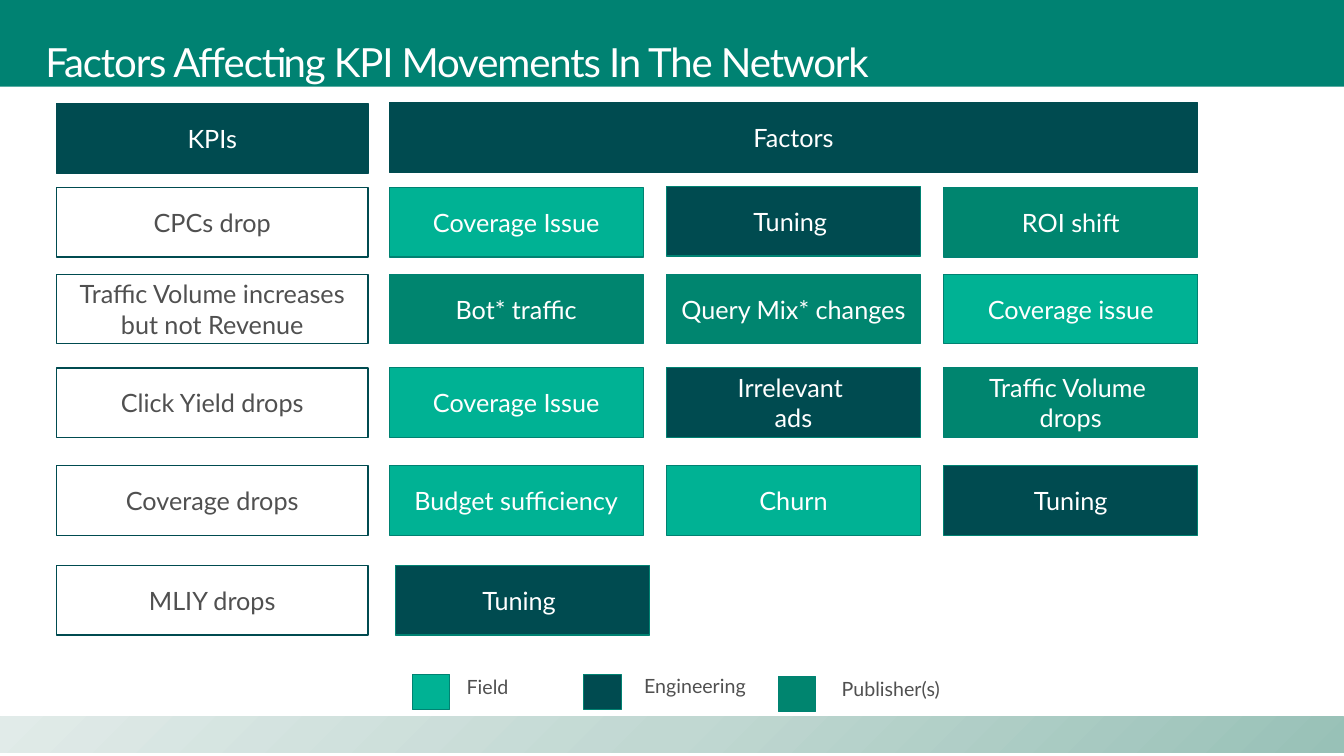
"""Build the slide that maps KPI movements to the factors behind them."""
from copy import deepcopy

from pptx import Presentation
from pptx import util as u
from pptx.dml.color import RGBColor
from pptx.enum import shapes, text
from pptx.oxml.ns import qn

WHITE, GREY, TEAL = "FFFFFF", "505050", "008272"
FIELD, ENGINEERING, PUBLISHER = "00B294", "004B50", "00856F"

KPI_LEFT, KPI_WIDTH = 0.56, 3.09
FACTOR_LEFT, FACTOR_WIDTH, FACTOR_STEP = 3.86, 2.52, 2.75
FACTORS_WIDTH = 2 * FACTOR_STEP + FACTOR_WIDTH
BOX_HEIGHT = 0.69

ROWS = [
    (1.86, "CPCs drop",
     [("Coverage Issue", FIELD, 0, 0), ("Tuning ", ENGINEERING, 0, -0.01), ("ROI shift", PUBLISHER, 0, 0)]),
    (2.72, "Traffic Volume increases but not Revenue",
     [("Bot* traffic", PUBLISHER, 0, 0), ("Query Mix* changes", PUBLISHER, 0, 0), ("Coverage issue", FIELD, 0, 0)]),
    (3.65, "Click Yield drops",
     [("Coverage Issue", FIELD, 0, 0), ("Irrelevant \nads", ENGINEERING, 0, 0),
      ("Traffic Volume \ndrops", PUBLISHER, 0, 0)]),
    (4.62, "Coverage drops",
     [("Budget sufficiency", FIELD, 0, 0), ("Churn", FIELD, 0, 0), ("Tuning", ENGINEERING, 0, 0)]),
    (5.61, "MLIY drops", [("Tuning ", ENGINEERING, 0.06, 0)]),
]

LEGEND = [
    ("Field", FIELD, 4.09, 6.69, 4.53, 6.65, 0.66),
    ("Engineering", ENGINEERING, 5.79, 6.69, 6.29, 6.64, 1.26),
    ("Publisher(s)", PUBLISHER, 7.72, 6.71, 8.25, 6.67, 1.23),
]


def color(value):
    """Turn a hex string into a colour."""
    return RGBColor.from_string(value)


class SlideBuilder:
    """Hold the style and the slide, and draw each kind of element."""

    font_name = "Lato"

    def __init__(self, slide):
        """Keep the slide to draw on."""
        self.slide = slide

    def set_wording(self, frame, wording, size, font_color, align):
        """Put formatted wording into a text frame."""
        frame.word_wrap = True
        frame.text = wording
        for paragraph in frame.paragraphs:
            paragraph.alignment = align
            for run in paragraph.runs:
                run.font.name = self.font_name
                run.font.size = u.Pt(size)
                run.font.color.rgb = color(font_color)

    def rectangle(self, left, top, width, height, fill, line=None, line_width=0.75):
        """Draw a plain rectangle."""
        shape = self.slide.shapes.add_shape(
            shapes.MSO_SHAPE.RECTANGLE,
            u.Inches(left), u.Inches(top), u.Inches(width), u.Inches(height))
        shape.shadow.inherit = False
        shape.fill.solid()
        shape.fill.fore_color.rgb = color(fill)
        if line:
            shape.line.color.rgb = color(line)
            shape.line.width = u.Pt(line_width)
        else:
            shape.line.fill.background()
        return shape

    def box(self, wording, left, top, width, fill, line=TEAL, line_width=0.75, font_color=WHITE):
        """Draw a rectangle with centred wording."""
        shape = self.rectangle(left, top, width, BOX_HEIGHT, fill, line, line_width)
        shape.text_frame.vertical_anchor = text.MSO_ANCHOR.MIDDLE
        self.set_wording(shape.text_frame, wording, 18, font_color, text.PP_ALIGN.CENTER)

    def label(self, wording, left, top, width):
        """Draw a legend label."""
        label = self.slide.shapes.add_textbox(
            u.Inches(left), u.Inches(top), u.Inches(width), u.Inches(0.34))
        self.set_wording(label.text_frame, wording, 14, GREY, text.PP_ALIGN.LEFT)
        label.text_frame.auto_size = text.MSO_AUTO_SIZE.SHAPE_TO_FIT_TEXT

    def gradient_band(self, left, top, width, height, stops):
        """Draw a band with a diagonal gradient of three colours."""
        band = self.rectangle(left, top, width, height, WHITE)
        band.fill.gradient()
        band.fill.gradient_angle = 135
        stop_list = band._element.spPr.find(".//" + qn("a:gsLst"))
        stop_list.insert(1, deepcopy(stop_list[0]))
        for stop, (position, value) in zip(band.fill.gradient_stops, stops):
            stop.position = position
            stop.color.rgb = color(value)

    def title(self, wording):
        """Place and format the title in front of the bands."""
        title = self.slide.shapes.title
        self.slide.shapes._spTree.append(title._element)
        title.left, title.top = u.Inches(0.29), u.Inches(0.32)
        title.width, title.height = u.Inches(11.87), u.Inches(1.45)
        frame = title.text_frame
        self.set_wording(frame, wording, 28.7, WHITE, text.PP_ALIGN.LEFT)
        frame.auto_size = text.MSO_AUTO_SIZE.NONE
        frame.vertical_anchor = text.MSO_ANCHOR.TOP
        frame.margin_left = frame.margin_right = u.Inches(0.16)
        frame.margin_top = frame.margin_bottom = u.Inches(0.1)
        paragraph = frame.paragraphs[0]
        paragraph.line_spacing = 0.9
        paragraph.runs[0]._r.get_or_add_rPr().set("spc", "-80")


def main():
    """Build and save the presentation."""
    presentation = Presentation()
    presentation.slide_width, presentation.slide_height = u.Inches(13.33), u.Inches(7.5)
    builder = SlideBuilder(presentation.slides.add_slide(presentation.slide_layouts[5]))

    builder.gradient_band(0, 7.11, 13.33, 0.36, [(0, "98C1B7"), (0.5, "C1D8D2"), (1, "E1EBE9")])
    builder.rectangle(0, 0, 13.33, 0.86, TEAL)
    builder.title("Factors Affecting KPI Movements In The Network")

    builder.box("KPIs", KPI_LEFT, 1.03, KPI_WIDTH, ENGINEERING, ENGINEERING, 0.85)
    builder.box("Factors", FACTOR_LEFT, 1.02, FACTORS_WIDTH, ENGINEERING, ENGINEERING, 0.85)

    for top, kpi, factors in ROWS:
        builder.box(kpi, KPI_LEFT, top, KPI_WIDTH, WHITE, ENGINEERING, 0.85, GREY)
        for column, (factor, fill, shift_x, shift_y) in enumerate(factors):
            left = FACTOR_LEFT + column * FACTOR_STEP + shift_x
            builder.box(factor, left, top + shift_y, FACTOR_WIDTH, fill)

    for owner, fill, key_left, key_top, label_left, label_top, label_width in LEGEND:
        builder.rectangle(key_left, key_top, 0.37, 0.35, fill, TEAL)
        builder.label(owner, label_left, label_top, label_width)

    presentation.save("out.pptx")


if __name__ == "__main__":
    main()
